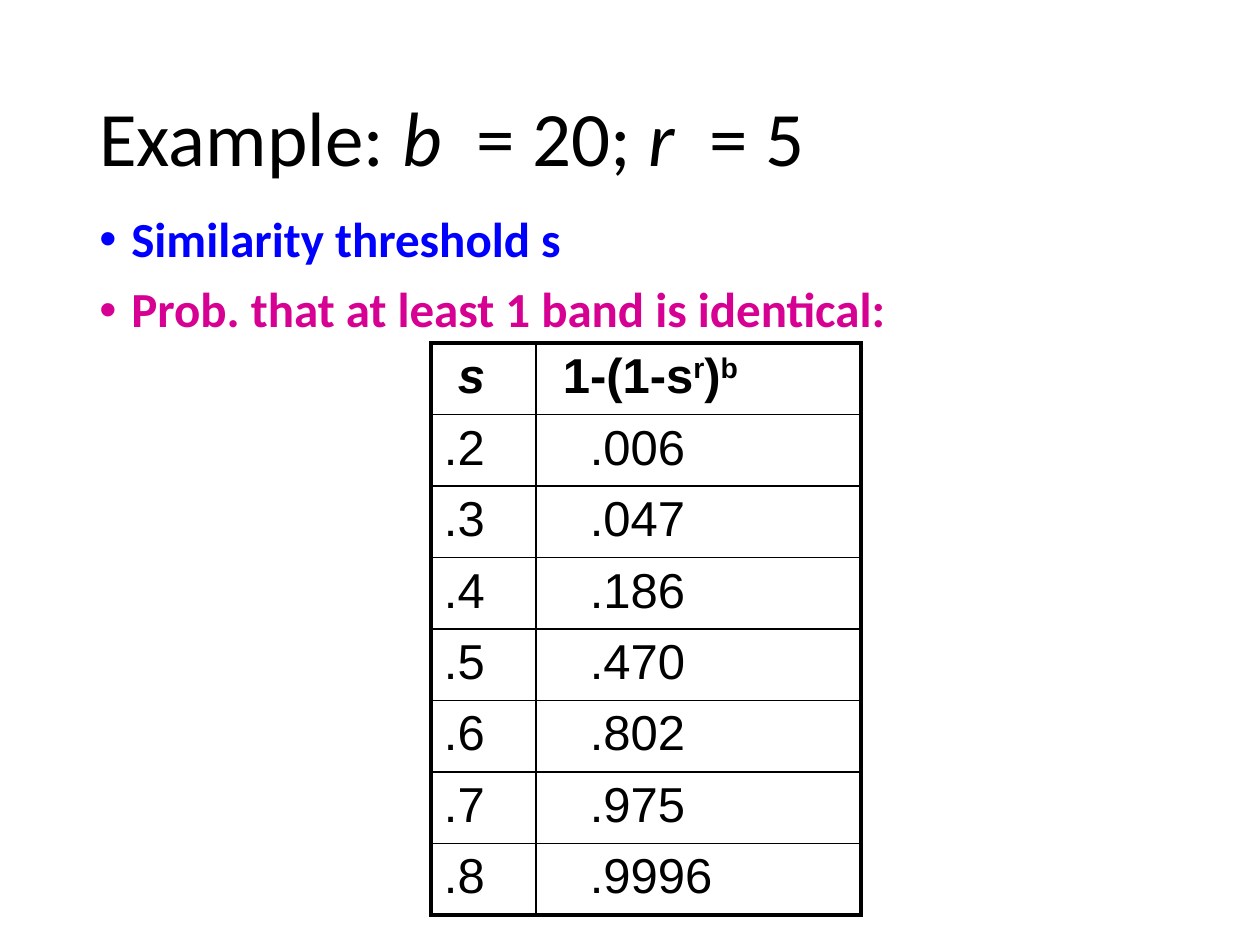
"""Build the slide with the banding example for b = 20 and r = 5."""
import pptx
import pptx.dml.color
import pptx.enum.text
import pptx.oxml
import pptx.oxml.ns
import pptx.util

TITLE = [("Example: ", False), ("b", True), ("  = 20; ", False),
         ("r", True), ("  = 5", False)]
BULLETS = [("Similarity threshold s", "threshold"),
           ("Prob. that at least 1 band is identical:", "probability")]
HEADER = [[("s", 0)], [("1-(1-s", 0), ("r", 30), (")", 0), ("b", 30)]]
ROWS = [(".2", ".006"), (".3", ".047"), (".4", ".186"), (".5", ".470"),
        (".6", ".802"), (".7", ".975"), (".8", ".9996")]

THEME = {
    "heading_font": "Calibri", "table_font": "Arial",
    "title_size": 44, "text_size": 28,
    "text": "000000", "threshold": "0000FF", "probability": "D60093",
    "outer_line": 2.25, "inner_line": 1,
}
TITLE_BOX = (87, 50, 1086, 183)
BODY_BOX = (87, 209, 1086, 600)
TABLE_LEFT, TABLE_TOP = 431, 343
COLUMN_WIDTHS, ROW_HEIGHT = (105, 325), 70
CELL_MARGIN, HEADER_INDENT, VALUE_INDENT = 13, 14, 41
BULLET_INDENT = 32


def px(n):
    return pptx.util.Emu(round(n * 914400 / 126))


def style(font, name, size, color, bold=False):
    font.name, font.size, font.bold = name, pptx.util.Pt(size), bold
    font.color.rgb = pptx.dml.color.RGBColor.from_string(color)


def add_text(slide, box, anchor):
    tf = slide.shapes.add_textbox(*map(px, box)).text_frame
    tf.word_wrap, tf.vertical_anchor = True, anchor
    return tf


def add_element(parent, xml):
    ns = pptx.oxml.ns.nsdecls("a")
    parent.append(pptx.oxml.parse_xml(xml.replace("/>", f" {ns}/>", 1)
                                      if xml.endswith("/>") and xml.count("<") == 1
                                      else xml.replace(">", f" {ns}>", 1)))


def add_title(slide):
    tf = add_text(slide, TITLE_BOX, pptx.enum.text.MSO_ANCHOR.MIDDLE)
    p = tf.paragraphs[0]
    p.line_spacing = 0.9
    style(p.font, THEME["heading_font"], THEME["title_size"], THEME["text"])
    for text, italic in TITLE:
        r = p.add_run()
        r.text, r.font.italic = text, italic


def add_bullets(slide):
    tf = add_text(slide, BODY_BOX, pptx.enum.text.MSO_ANCHOR.TOP)
    for i, (text, color) in enumerate(BULLETS):
        p = tf.add_paragraph() if i else tf.paragraphs[0]
        p.text, p.line_spacing = text, 0.9
        if i:
            p.space_before = pptx.util.Pt(10)
        pPr = p._p.get_or_add_pPr()
        pPr.set("marL", str(px(BULLET_INDENT)))
        pPr.set("indent", str(-px(BULLET_INDENT)))
        add_element(pPr, '<a:buFont typeface="Arial"/>')
        add_element(pPr, '<a:buChar char="•"/>')
        style(p.font, THEME["heading_font"], THEME["text_size"], THEME[color], True)


def set_borders(cell, outer_sides):
    tcPr = cell._tc.get_or_add_tcPr()
    for side in "LRTB":
        width = THEME["outer_line" if side in outer_sides else "inner_line"]
        add_element(tcPr, f'<a:ln{side} w="{pptx.util.Pt(width)}"><a:solidFill>'
                          f'<a:srgbClr val="{THEME["text"]}"/></a:solidFill></a:ln{side}>')


def fill_cell(cell, runs, indent, header):
    cell.margin_left = px(CELL_MARGIN + indent)
    p = cell.text_frame.paragraphs[0]
    style(p.font, THEME["table_font"], THEME["text_size"], THEME["text"], header)
    for text, baseline in runs:
        r = p.add_run()
        r.text = text
        if baseline:
            r.font._element.set("baseline", str(baseline * 1000))


def add_probabilities(slide):
    rows = [HEADER] + [[[(text, 0)] for text in row] for row in ROWS]
    last = len(rows) - 1
    table = slide.shapes.add_table(
        len(rows), len(COLUMN_WIDTHS), px(TABLE_LEFT), px(TABLE_TOP),
        px(sum(COLUMN_WIDTHS)), px(ROW_HEIGHT * len(rows))).table
    table.first_row = table.horz_banding = False
    for column, width in zip(table.columns, COLUMN_WIDTHS):
        column.width = px(width)
    for i, row in enumerate(rows):
        table.rows[i].height = px(ROW_HEIGHT)
        for j, runs in enumerate(row):
            cell = table.cell(i, j)
            indent = HEADER_INDENT if i == 0 else VALUE_INDENT * j
            fill_cell(cell, runs, indent, i == 0)
            set_borders(cell, "LR"[j] + ("T" if i == 0 else "B" if i == last else ""))
            cell.fill.background()
    table.cell(0, 0).text_frame.paragraphs[0].font.italic = True


def main():
    prs = pptx.Presentation()
    prs.slide_width, prs.slide_height = px(1260), px(945)
    slide = prs.slides.add_slide(prs.slide_layouts[6])
    add_title(slide)
    add_bullets(slide)
    add_probabilities(slide)
    prs.save("out.pptx")


if __name__ == "__main__":
    main()
